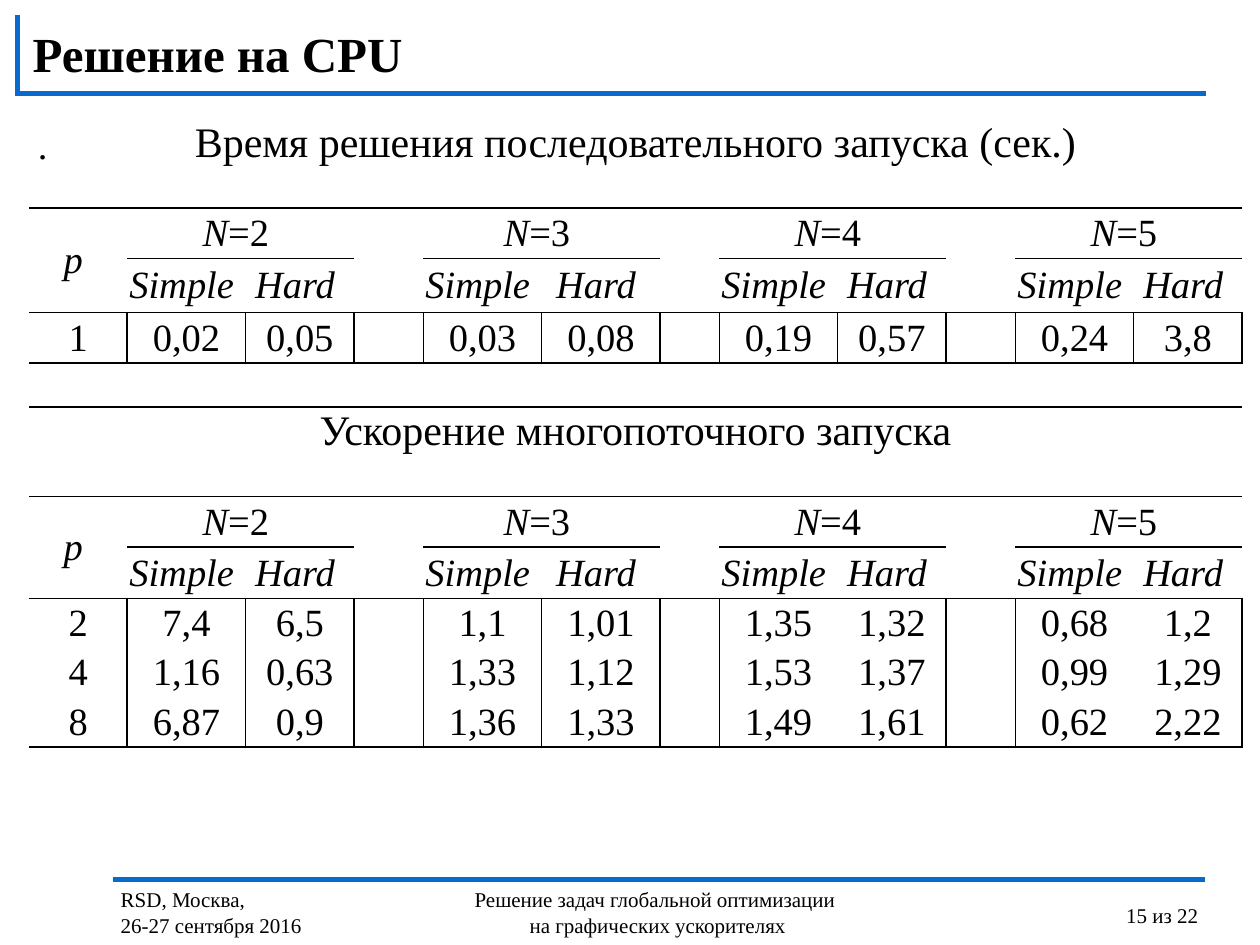
from typing import NamedTuple

from lxml.etree import SubElement
from pptx import Presentation
from pptx.dml.color import RGBColor
from pptx.enum.shapes import MSO_CONNECTOR
from pptx.enum.text import MSO_ANCHOR, MSO_AUTO_SIZE, PP_ALIGN
from pptx.oxml import parse_xml
from pptx.oxml.ns import nsdecls, qn
from pptx.util import Inches, Pt

BLACK = RGBColor(0x00, 0x00, 0x00)
BLUE = RGBColor(0x09, 0x69, 0xCD)
NO_STYLE = "{2D5ABB26-0587-4C30-8999-92F81FD0307C}"
FONT = "Times New Roman"

TITLE = {"name": FONT, "size": Pt(28), "bold": True}
BODY = {"name": FONT, "size": Pt(22)}
FOOTER = {"name": FONT, "size": Pt(12)}
CAPTION = {"name": FONT, "size": Pt(24)}
PLAIN = {"name": FONT, "size": Pt(22), "italic": False}
ITALIC = {"name": FONT, "size": Pt(22), "italic": True}


class Box(NamedTuple):
    left: float
    top: float
    width: float
    height: float


class Rule(NamedTuple):
    x1: float
    y1: float
    x2: float
    y2: float


class Footer(NamedTuple):
    box: Box
    lines: list[str]
    align: PP_ALIGN
    spacing: float


class Section(NamedTuple):
    top_row: int
    caption: str
    data: list[list[str]]


RULES = [
    Rule(0.9, 6.98, 9.56, 6.98),
    Rule(0.12, 0.74, 9.57, 0.74),
    Rule(0.14, 0.12, 0.14, 0.75),
]
FOOTERS = [
    Footer(Box(8.84, 7.01, 1.16, 0.49), ["15 из 22"], PP_ALIGN.LEFT, 1.5),
    Footer(Box(3.17, 6.99, 4.1, 0.51),
           ["Решение задач глобальной оптимизации ", "на графических ускорителях"],
           PP_ALIGN.CENTER, 1.0),
    Footer(Box(0.86, 6.99, 1.88, 0.51),
           ["RSD, Москва,", "26-27 сентября 2016"], PP_ALIGN.LEFT, 1.0),
]
COLS = [0.78, 0.94, 0.86, 0.55, 0.94, 0.94, 0.47, 0.94, 0.86, 0.55, 0.94, 0.86]
ROWS = [0.71, 0.4, 0.43, 0.4, 0.35, 0.71, 0.4, 0.41, 0.39, 0.39, 0.4]
GROUPS = {2: 1, 3: 4, 4: 7, 5: 10}
GAPS = (3, 6, 9)
VALUE_COLS = [0] + [c + i for c in GROUPS.values() for i in (0, 1)]
SECTIONS = [
    Section(0, "Время решения последовательного запуска (сек.)", [
        ["1", "0,02", "0,05", "0,03", "0,08", "0,19", "0,57", "0,24", "3,8"],
    ]),
    Section(5, "Ускорение многопоточного запуска", [
        ["2", "7,4", "6,5", "1,1", "1,01", "1,35", "1,32", "0,68", "1,2"],
        ["4", "1,16", "0,63", "1,33", "1,12", "1,53", "1,37", "0,99", "1,29"],
        ["8", "6,87", "0,9", "1,36", "1,33", "1,49", "1,61", "0,62", "2,22"],
    ]),
]


def add_run(p, text: str, fmt: dict) -> None:
    r = p.add_run()
    r.text = text
    for key, value in fmt.items():
        setattr(r.font, key, value)
    r.font.color.rgb = BLACK


def place(sp, box: Box) -> None:
    for key, value in box._asdict().items():
        setattr(sp, key, Inches(value))


def fill_placeholder(sp, box: Box, text: str, fmt: dict, anchor: MSO_ANCHOR):
    place(sp, box)
    tf = sp.text_frame
    tf.auto_size = MSO_AUTO_SIZE.NONE
    tf.vertical_anchor = anchor
    p = tf.paragraphs[0]
    p.alignment = PP_ALIGN.LEFT
    add_run(p, text, fmt)
    return p


def draw_rule(s, rule: Rule) -> None:
    line = s.shapes.add_connector(MSO_CONNECTOR.STRAIGHT, *map(Inches, rule))
    line.line.color.rgb = BLUE
    line.line.width = Pt(3)
    SubElement(line._element.spPr, qn("a:effectLst"))


def draw_footer(s, footer: Footer) -> None:
    tf = s.shapes.add_textbox(*map(Inches, footer.box)).text_frame
    tf.word_wrap = True
    for i, text in enumerate(footer.lines):
        p = tf.add_paragraph() if i else tf.paragraphs[0]
        p.alignment = footer.align
        p.line_spacing = footer.spacing
        add_run(p, text, FOOTER)


def write(cell, *runs: tuple[str, dict]) -> None:
    p = cell.text_frame.paragraphs[0]
    p.alignment = PP_ALIGN.CENTER
    for text, fmt in runs:
        add_run(p, text, fmt)


def edges(row: int, col: int) -> str:
    if row == 0:
        return "B"
    if row in (1, 6):
        return "T" if col in GAPS else "TB"
    if row in (2, 7):
        return "B" if col in GAPS or col == 0 else "TB"
    if row in (4, 5):
        return "TB"
    sides = {3: "TB", 8: "T", 9: "", 10: "B"}[row]
    joined = row > 3
    if col > 0 and not (joined and col in (8, 11)):
        sides += "L"
    if not (joined and col in (7, 10)):
        sides += "R"
    return sides


def format_cell(cell, sides: str) -> None:
    cell.fill.background()
    cell.vertical_anchor = MSO_ANCHOR.MIDDLE
    margins = {"margin_left": 0.01, "margin_right": 0.01, "margin_top": 0.01, "margin_bottom": 0}
    for key, value in margins.items():
        setattr(cell, key, Inches(value))
    tc_pr = cell._tc.get_or_add_tcPr()
    for i, side in enumerate("LRTB"):
        paint = f'<a:solidFill><a:srgbClr val="{BLACK}"/></a:solidFill>' if side in sides else "<a:noFill/>"
        tc_pr.insert(i, parse_xml(f'<a:ln{side} {nsdecls("a")} w="{Pt(1)}">{paint}</a:ln{side}>'))


def fill_section(table, section: Section) -> None:
    top = section.top_row
    caption = table.cell(top, 0)
    caption.merge(table.cell(top, len(COLS) - 1))
    caption.vertical_anchor = MSO_ANCHOR.TOP
    write(caption, (section.caption, CAPTION))
    threads = table.cell(top + 1, 0)
    threads.merge(table.cell(top + 2, 0))
    write(threads, ("p ", ITALIC))
    for n, col in GROUPS.items():
        head = table.cell(top + 1, col)
        head.merge(table.cell(top + 1, col + 1))
        write(head, ("N", ITALIC), (f"={n} ", PLAIN))
        for i, label in enumerate(("Simple ", "Hard ")):
            write(table.cell(top + 2, col + i), (label, ITALIC))
    for row, values in enumerate(section.data, top + 3):
        for col, value in zip(VALUE_COLS, values):
            write(table.cell(row, col), (value, PLAIN))


def draw_table(s) -> None:
    table = s.shapes.add_table(len(ROWS), len(COLS), Inches(0.23), Inches(0.94),
                               Inches(sum(COLS)), Inches(sum(ROWS))).table
    table.first_row = table.horz_banding = False
    table._tbl.tblPr.find(qn("a:tableStyleId")).text = NO_STYLE
    for column, width in zip(table.columns, COLS):
        column.width = Inches(width)
    for i, height in enumerate(ROWS):
        table.rows[i].height = Inches(height)
        for j in range(len(COLS)):
            format_cell(table.cell(i, j), edges(i, j))
    for section in SECTIONS:
        fill_section(table, section)


def main() -> None:
    prs = Presentation()
    prs.slide_width, prs.slide_height = Inches(10), Inches(7.5)
    s = prs.slides.add_slide(prs.slide_layouts[1])
    fill_placeholder(s.shapes.title, Box(0.16, 0.17, 8.5, 0.5), "Решение на CPU", TITLE, MSO_ANCHOR.MIDDLE)
    p = fill_placeholder(s.placeholders[1], Box(0.2, 0.91, 9.45, 5.43), ".", BODY, MSO_ANCHOR.TOP)
    p_pr = p._p.get_or_add_pPr()
    p_pr.set("marL", "0")
    p_pr.set("indent", "0")
    SubElement(p_pr, qn("a:buNone"))
    for rule in RULES:
        draw_rule(s, rule)
    for footer in FOOTERS:
        draw_footer(s, footer)
    draw_table(s)
    prs.save("out.pptx")


if __name__ == "__main__":
    main()
